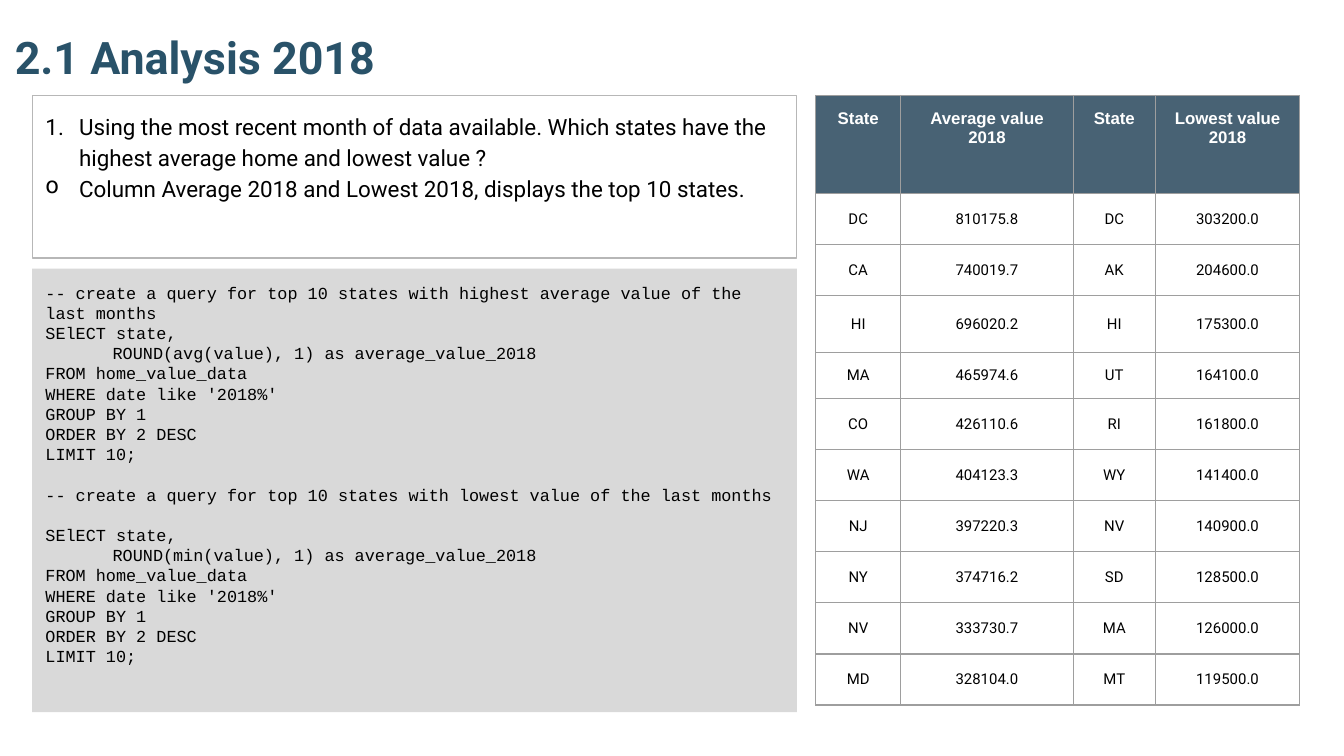
"""Build the 2018 home value analysis slide with its query and state table."""
from typing import NamedTuple

from lxml import etree
from pptx import Presentation
from pptx.dml.color import RGBColor
from pptx.enum import shapes, text
from pptx.oxml import ns
from pptx.util import Pt

BLACK = RGBColor(0, 0, 0)
WHITE = RGBColor(0xFF, 0xFF, 0xFF)
TEAL = RGBColor(0x29, 0x52, 0x69)
NAVY = RGBColor(0x20, 0x40, 0x56)
SILVER = RGBColor(0xB7, 0xB7, 0xB7)
GREY = RGBColor(0x9E, 0x9E, 0x9E)
PALE = RGBColor(0xD9, 0xD9, 0xD9)

LEFT, CENTER = text.PP_ALIGN.LEFT, text.PP_ALIGN.CENTER
TOP, MIDDLE, BOTTOM = text.MSO_ANCHOR.TOP, text.MSO_ANCHOR.MIDDLE, text.MSO_ANCHOR.BOTTOM
SIDES = ("left", "right", "top", "bottom")


class Style(NamedTuple):
    font: str
    size: float
    color: RGBColor
    bold: bool = False
    align: int = LEFT


class Panel(NamedTuple):
    top: float
    height: float
    fill: RGBColor | None
    line: RGBColor | None


HEADING = Style("Roboto", 24, TEAL, True)
TASK = Style("Roboto", 12, BLACK)
CODE = Style("Courier New", 9, BLACK)
HEAD = Style("Arial", 9, WHITE, True, CENTER)
BODY = Style("Roboto", 8, BLACK, False, CENTER)

TASKS = (
    ("Using the most recent month of data available. Which states have the "
     "highest average home and lowest value ?", 0, "buAutoNum", {"type": "arabicPeriod"}),
    ("Column Average 2018 and Lowest 2018, displays the top 10 states.",
     4, "buChar", {"char": "o"}),
)
NOTE = "-- create a query for top 10 states with {} value of the last months"
QUERY = """SElECT state,
\tROUND({}(value), 1) as average_value_2018
FROM home_value_data
WHERE date like '2018%'
GROUP BY 1
ORDER BY 2 DESC
LIMIT 10;"""
ROWS = (
    ("State", "Average value\n2018", "State", "Lowest value\n2018"),
    ("DC", "810175.8", "DC", "303200.0"),
    ("CA", "740019.7", "AK", "204600.0"),
    ("HI", "696020.2", "HI", "175300.0"),
    ("MA", "465974.6", "UT", "164100.0"),
    ("CO", "426110.6", "RI", "161800.0"),
    ("WA", "404123.3", "WY", "141400.0"),
    ("NJ", "397220.3", "NV", "140900.0"),
    ("NY", "374716.2", "SD", "128500.0"),
    ("NV", "333730.7", "MA", "126000.0"),
    ("MD", "328104.0", "MT", "119500.0"),
)
WIDTHS = (45.6, 92.4, 44, 77.4)
HEIGHTS = (52.4, 27.4, 27.4, 30.4, 24.7) + (27.4,) * 6


def assign(item, values: dict) -> None:
    """Set each attribute named in the dict."""
    for name, value in values.items():
        setattr(item, name, value)


def write(frame, lines: list[str], style: Style) -> list:
    """Fill a text frame with one styled paragraph per line."""
    frame.text = "\n".join(lines)
    for par in frame.paragraphs:
        par.alignment = style.align
        for run in par.runs:
            assign(run.font, {"name": style.font, "size": Pt(style.size), "bold": style.bold})
            run.font.color.rgb = style.color
    return list(frame.paragraphs)


def pad(item, inset: float, anchor) -> None:
    """Set equal insets and the vertical anchor."""
    assign(item, {f"margin_{side}": Pt(inset) for side in SIDES})
    item.vertical_anchor = anchor


def draw_panel(slide, panel: Panel, lines: list[str], style: Style) -> list:
    """Draw a left-hand rectangle and return its paragraphs."""
    box = slide.shapes.add_shape(shapes.MSO_SHAPE.RECTANGLE, Pt(17.3), Pt(panel.top),
                                 Pt(409.6), Pt(panel.height))
    box.shadow.inherit = False
    for part, color in ((box.fill, panel.fill), (box.line.fill, panel.line)):
        if color is None:
            part.background()
        else:
            part.solid()
            part.fore_color.rgb = color
    if panel.line is not None:
        box.line.width = Pt(0.75)
    pad(box.text_frame, 7.2, TOP)
    box.text_frame.word_wrap = True
    return write(box.text_frame, lines, style)


def mark(par, level: int, tag: str, attrs: dict) -> None:
    """Give a paragraph its hanging indent and bullet."""
    assign(par, {"level": level, "line_spacing": 1.15})
    props = par._p.get_or_add_pPr()
    props.set("marL", str(Pt(18)))
    props.set("indent", str(Pt(-18)))
    hue = etree.SubElement(props, ns.qn("a:buClr"))
    etree.SubElement(hue, ns.qn("a:srgbClr"), val=str(BLACK))
    etree.SubElement(props, ns.qn(f"a:{tag}"), **attrs)


def rule(cell) -> None:
    """Add thin grey borders on all sides of a cell."""
    props = cell._tc.get_or_add_tcPr()
    for i, tag in enumerate(("lnL", "lnR", "lnT", "lnB")):
        line = etree.Element(ns.qn(f"a:{tag}"), w=str(Pt(0.75)))
        fill = etree.SubElement(line, ns.qn("a:solidFill"))
        etree.SubElement(fill, ns.qn("a:srgbClr"), val=str(GREY))
        props.insert(i, line)


def draw_table(slide) -> None:
    """Draw the table of highest and lowest states."""
    frame = slide.shapes.add_table(len(ROWS), len(WIDTHS), Pt(437), Pt(51.2),
                                   Pt(sum(WIDTHS)), Pt(sum(HEIGHTS)))
    table = frame.table
    assign(table, {"first_row": False, "horz_banding": False})
    for col, width in zip(table.columns, WIDTHS):
        col.width = Pt(width)
    for i, (row, height, values) in enumerate(zip(table.rows, HEIGHTS, ROWS)):
        row.height = Pt(height)
        for cell, value in zip(row.cells, values):
            write(cell.text_frame, [value], BODY if i else HEAD)
            if i:
                pad(cell, 0.7, MIDDLE)
                cell.fill.background()
            else:
                pad(cell, 7.2, TOP)
                cell.fill.solid()
                cell.fill.fore_color.rgb = NAVY
                hue = cell._tc.tcPr.find(".//" + ns.qn("a:srgbClr"))
                etree.SubElement(hue, ns.qn("a:alpha"), val="82000")
            rule(cell)


def main() -> None:
    """Build and save the slide."""
    deck = Presentation()
    assign(deck, {"slide_width": Pt(720), "slide_height": Pt(405)})
    slide = deck.slides.add_slide(deck.slide_layouts[5])

    title = slide.shapes.title
    assign(title, {"left": Pt(0.7), "top": Pt(-14.4), "width": Pt(671), "height": Pt(66.2)})
    pad(title.text_frame, 7.2, BOTTOM)
    assign(title.text_frame, {"word_wrap": True, "auto_size": text.MSO_AUTO_SIZE.NONE})
    write(title.text_frame, ["2.1 Analysis 2018"], HEADING)

    pars = draw_panel(slide, Panel(51.2, 87, None, SILVER), [task[0] for task in TASKS], TASK)
    for par, task in zip(pars, TASKS):
        mark(par, *task[1:])

    draw_table(slide)

    high = [NOTE.format("highest average"), *QUERY.format("avg").split("\n")]
    low = [NOTE.format("lowest"), *QUERY.format("min").split("\n")]
    pars = draw_panel(slide, Panel(144, 237.6, PALE, None), high + low, CODE)
    for par in pars[len(high):len(high) + 2]:
        par.space_before = Pt(10.8)

    deck.save("out.pptx")


if __name__ == "__main__":
    main()
